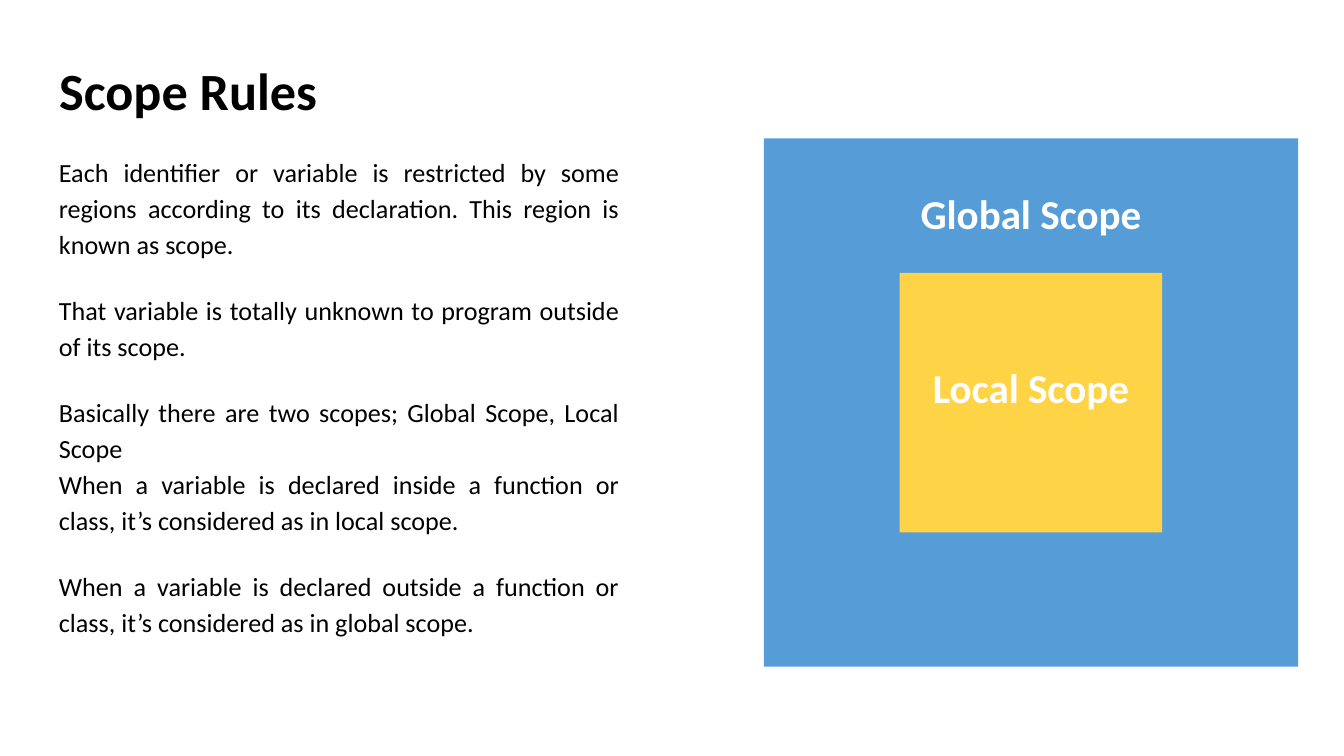
from dataclasses import dataclass

from pptx import Presentation
from pptx.dml.color import RGBColor
from pptx.enum.shapes import MSO_SHAPE
from pptx.enum.text import MSO_ANCHOR, MSO_AUTO_SIZE, PP_ALIGN
from pptx.util import Pt

BLACK = RGBColor(0x00, 0x00, 0x00)
WHITE = RGBColor(0xFF, 0xFF, 0xFF)
BLUE = RGBColor(0x56, 0x9C, 0xD6)
YELLOW = RGBColor(0xFE, 0xD3, 0x46)

FONT = "Calibri"
INSET = 7.2
PARAGRAPH_GAP = 16


@dataclass(frozen=True)
class Box:
    left: float
    top: float
    width: float
    height: float

    def lengths(self) -> tuple:
        return Pt(self.left), Pt(self.top), Pt(self.width), Pt(self.height)


@dataclass(frozen=True)
class Scope:
    name: str
    square: Box
    label: Box
    color: RGBColor


TITLE_BOX = Box(24.5, 23.8, 671, 45.4)
BODY_BOX = Box(24.5, 74.2, 314.6, 283)
SCOPES = [
    Scope("Global Scope", Box(409.2, 74.2, 286.3, 283), Box(484.6, 93.6, 135.4, 56.9), BLUE),
    Scope("Local Scope", Box(482, 146.2, 140.6, 139), Box(484.6, 187.2, 135.4, 56.9), YELLOW),
]
RULES = [
    "Each identifier or variable is restricted by some regions according to "
    "its declaration. This region is known as scope.",
    "That variable is totally unknown to program outside of its scope.",
    "Basically there are two scopes; Global Scope, Local Scope\n"
    "When a variable is declared inside a function or class, it’s considered as in local scope.",
    "When a variable is declared outside a function or class, it’s considered as in global scope.",
]


def prepare_frame(frame) -> None:
    frame.word_wrap = True
    frame.auto_size = MSO_AUTO_SIZE.NONE
    frame.vertical_anchor = MSO_ANCHOR.TOP
    frame.margin_left = frame.margin_right = Pt(INSET)
    frame.margin_top = frame.margin_bottom = Pt(INSET)


def write(paragraph, text: str, size: float, color: RGBColor, bold: bool, alignment) -> None:
    paragraph.text = text
    paragraph.alignment = alignment
    font = paragraph.font
    font.name, font.size, font.bold = FONT, Pt(size), bold
    font.color.rgb = color


def add_title(slide, text: str) -> None:
    title = slide.shapes.title
    title.left, title.top, title.width, title.height = TITLE_BOX.lengths()
    prepare_frame(title.text_frame)
    paragraph = title.text_frame.paragraphs[0]
    write(paragraph, text, 28, BLACK, True, PP_ALIGN.LEFT)
    paragraph.line_spacing = 1.0


def add_rules(slide, rules: list[str]) -> None:
    frame = slide.shapes.add_textbox(*BODY_BOX.lengths()).text_frame
    prepare_frame(frame)
    for index, rule in enumerate(rules):
        paragraph = frame.add_paragraph() if index else frame.paragraphs[0]
        write(paragraph, rule, 14, BLACK, False, PP_ALIGN.JUSTIFY)
        paragraph.line_spacing = 1.15
        paragraph.space_before = Pt(PARAGRAPH_GAP if index else 0)


def add_square(slide, scope: Scope) -> None:
    shape = slide.shapes.add_shape(MSO_SHAPE.RECTANGLE, *scope.square.lengths())
    shape.shadow.inherit = False
    shape.fill.solid()
    shape.fill.fore_color.rgb = scope.color
    shape.line.fill.background()


def add_label(slide, scope: Scope) -> None:
    frame = slide.shapes.add_textbox(*scope.label.lengths()).text_frame
    prepare_frame(frame)
    write(frame.paragraphs[0], scope.name, 22, WHITE, True, PP_ALIGN.CENTER)


def main() -> None:
    presentation = Presentation()
    presentation.slide_width, presentation.slide_height = Pt(720), Pt(405)
    slide = presentation.slides.add_slide(presentation.slide_layouts[5])

    # Title and explanation
    add_title(slide, "Scope Rules")
    add_rules(slide, RULES)

    # Nested scopes, with the labels on top
    for scope in SCOPES:
        add_square(slide, scope)
    for scope in SCOPES:
        add_label(slide, scope)

    presentation.save("out.pptx")


if __name__ == "__main__":
    main()
